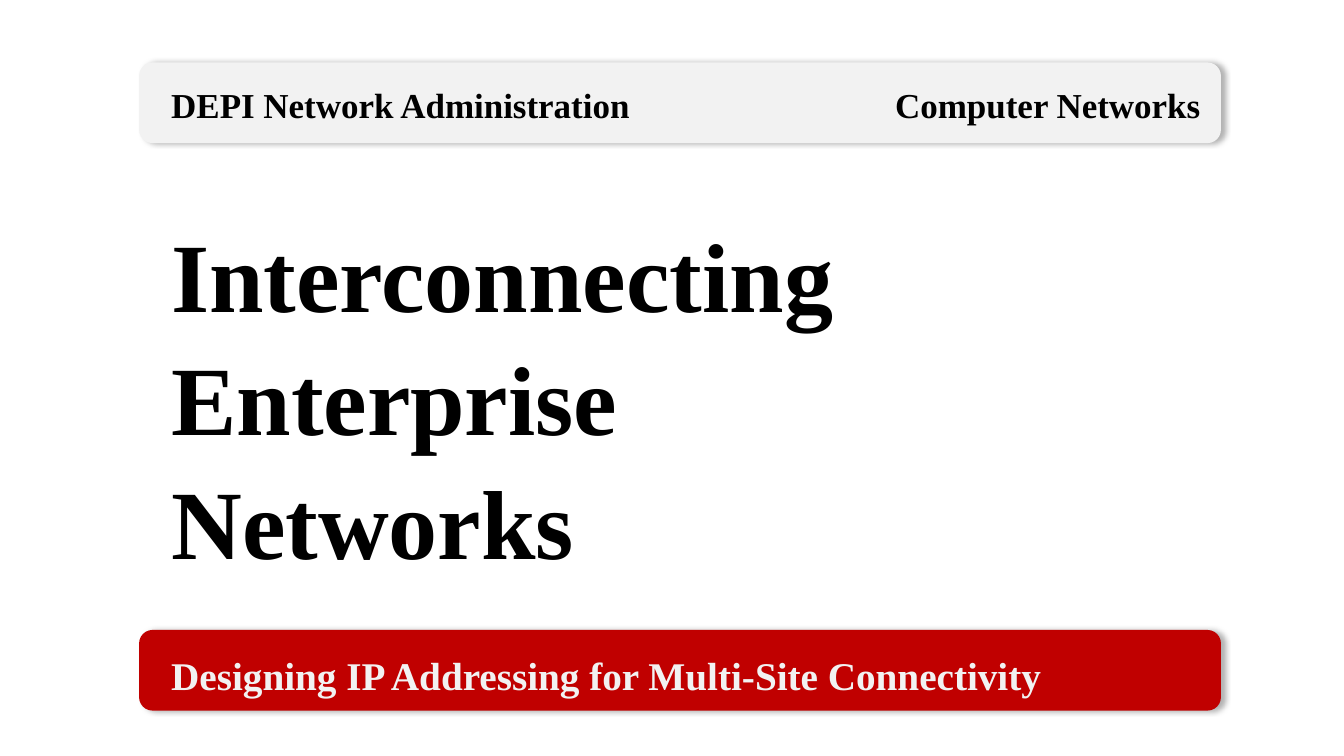
from dataclasses import dataclass

from lxml.etree import SubElement
from pptx import Presentation
from pptx.dml.color import RGBColor
from pptx.enum.shapes import MSO_SHAPE
from pptx.enum.text import MSO_AUTO_SIZE
from pptx.oxml.ns import qn
from pptx.util import Inches, Pt


@dataclass(frozen=True)
class Theme:
    """Colours, font and type sizes of the slide."""
    font: str = "Times New Roman"
    ink: str = "000000"
    red: str = "C00000"
    pale: str = "F2F2F2"
    title: int = 70
    subtitle: int = 28
    header: int = 25
    line_spacing: float = 1.05


class CoverSlide:
    """Draws the banners and text of a cover slide in one theme."""

    def __init__(self, presentation, theme):
        """Add a blank slide to draw on."""
        self.theme = theme
        self.shapes = presentation.slides.add_slide(presentation.slide_layouts[6]).shapes

    def banner(self, top, color):
        """Add a full-width rounded bar with a soft shadow to its right."""
        bar = self.shapes.add_shape(
            MSO_SHAPE.ROUNDED_RECTANGLE, Inches(1.38), Inches(top), Inches(10.73), Inches(0.8))
        bar.fill.solid()
        bar.fill.fore_color.rgb = RGBColor.from_string(color)
        bar.line.fill.background()
        bar.shadow.inherit = False
        effects = bar.element.spPr.find(qn("a:effectLst"))
        shadow = SubElement(effects, qn("a:outerShdw"), blurRad=str(Pt(4)), dist=str(Pt(3)),
                            dir="0", algn="l", rotWithShape="0")
        shade = SubElement(shadow, qn("a:srgbClr"), val=self.theme.ink)
        SubElement(shade, qn("a:alpha"), val="30000")

    def text(self, wording, left, top, width, height, size, color):
        """Add a wrapped box of bold text."""
        frame = self.shapes.add_textbox(
            Inches(left), Inches(top), Inches(width), Inches(height)).text_frame
        frame.word_wrap = True
        frame.auto_size = MSO_AUTO_SIZE.SHAPE_TO_FIT_TEXT
        paragraph = frame.paragraphs[0]
        paragraph.line_spacing = self.theme.line_spacing
        run = paragraph.add_run()
        run.text = wording
        run.font.name = self.theme.font
        run.font.size = Pt(size)
        run.font.bold = True
        run.font.color.rgb = RGBColor.from_string(color)


def main():
    """Build and save the cover slide."""
    presentation = Presentation()
    presentation.slide_width, presentation.slide_height = Inches(13.33), Inches(7.5)
    theme = Theme()
    cover = CoverSlide(presentation, theme)
    cover.text("Interconnecting Enterprise Networks", 1.6, 2.02, 7.01, 3.64, theme.title, theme.ink)
    cover.banner(6.25, theme.red)
    cover.text("Designing IP Addressing for Multi-Site Connectivity",
               1.6, 6.39, 8.9, 0.57, theme.subtitle, theme.pale)
    cover.banner(0.62, theme.pale)
    for label, left, width in (("DEPI Network Administration", 1.6, 4.78),
                               ("Computer Networks", 8.78, 3.33)):
        cover.text(label, left, 0.76, width, 0.52, theme.header, theme.ink)
    presentation.save("out.pptx")


if __name__ == "__main__":
    main()
